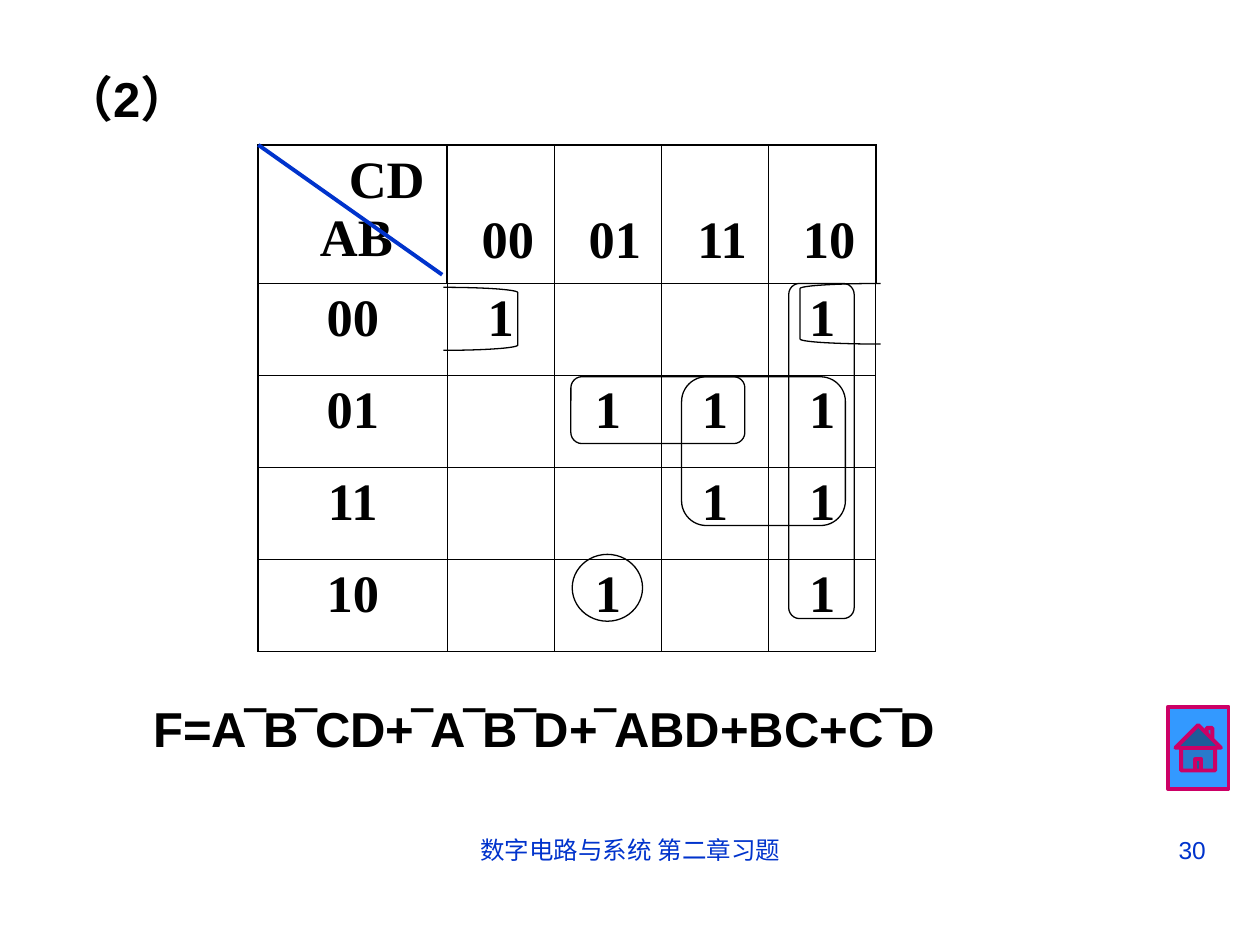
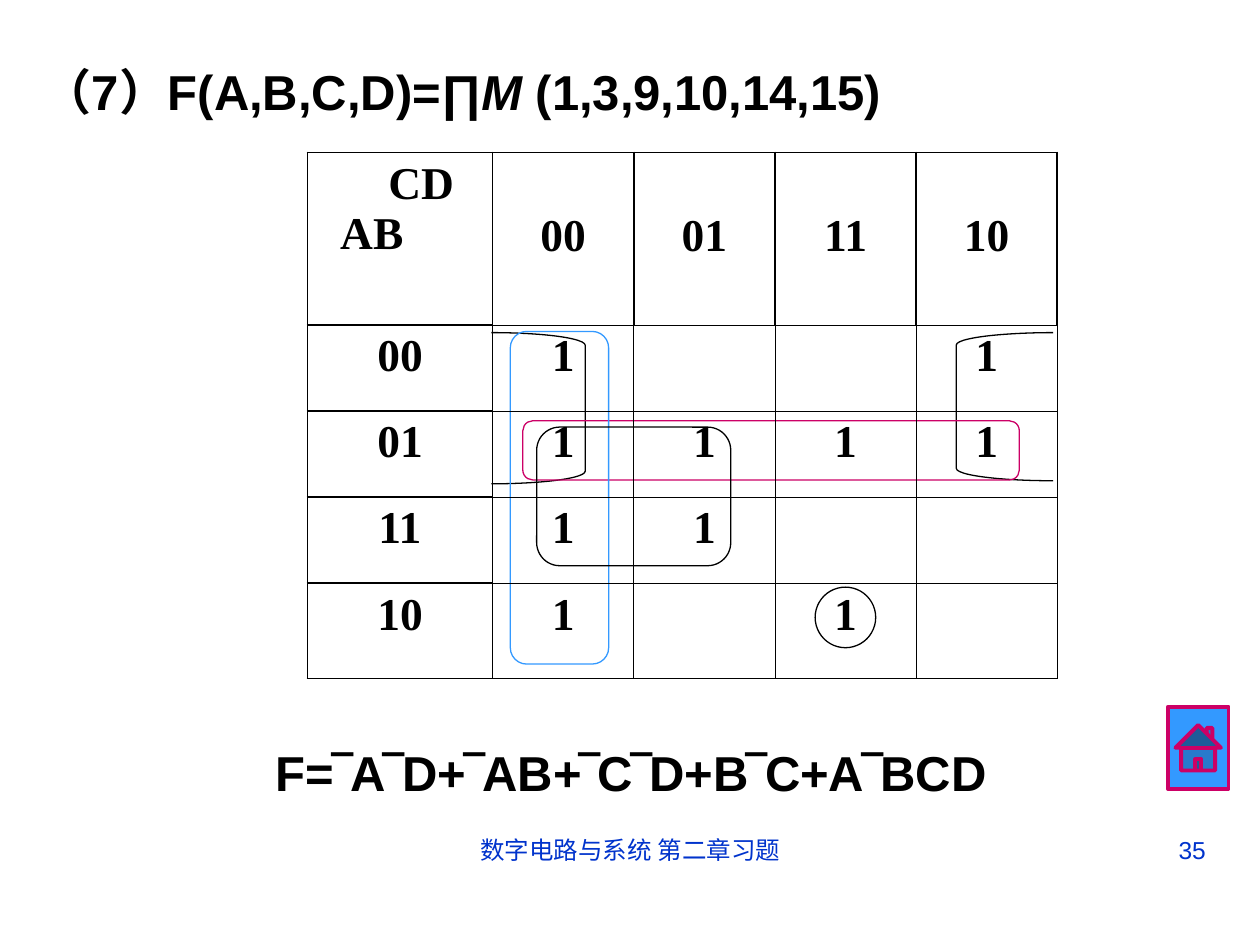
"""Two Karnaugh map exercise slides with their simplified formulas."""
from lxml import etree
from pptx import Presentation
from pptx.dml.color import RGBColor
from pptx.enum.shapes import MSO_CONNECTOR, MSO_SHAPE
from pptx.enum.text import MSO_ANCHOR, MSO_AUTO_SIZE, PP_ALIGN
from pptx.oxml.ns import qn
from pptx.util import Pt

STRAIGHT = MSO_CONNECTOR.STRAIGHT
HOME = MSO_SHAPE.ACTION_BUTTON_HOME
OVAL, ROUNDED = MSO_SHAPE.OVAL, MSO_SHAPE.ROUNDED_RECTANGLE
OPENS_LEFT, OPENS_RIGHT = MSO_SHAPE.RIGHT_BRACKET, MSO_SHAPE.LEFT_BRACKET
TOP, MIDDLE = MSO_ANCHOR.TOP, MSO_ANCHOR.MIDDLE
NO_AUTOFIT = MSO_AUTO_SIZE.NONE
LEFT, CENTER, RIGHT = PP_ALIGN.LEFT, PP_ALIGN.CENTER, PP_ALIGN.RIGHT

BLACK, NAVY, SKY, PINK = "000000", "0033CC", "3399FF", "CC0066"
SANS, SERIF = "Arial", "Times New Roman"
THICK, THIN = 1.08, 0.45
LINE_PITCH = 1.15

FOOTER = "数字电路与系统 第二章习题"
FOOTER_BOX = (246.2, 473.8, 228.2, 37.4)
NUMBER_BOX = (516.2, 473.8, 180, 37.4)
HOME_BOX = (667.4, 403.9, 34.6, 46.8)
GRAY_CODE = ["00", "01", "11", "10"]

MAPS = [
    {
        "number": "30",
        "title": [("（2）", False)],
        "title_box": (29.5, 35.3, 99.4, 41),
        "formula": "F=A‾B‾CD+‾A‾B‾D+‾ABD+BC+C‾D",
        "formula_box": (80.6, 395.3, 493.2, 41),
        "origin": (147.6, 82.8),
        "columns": [108] + [61.2] * 4,
        "rows": [79.2] + [52.56] * 4,
        "size": 30,
        "corner": [("CD", 44.5), ("AB", 28)],
        "header_shift": 8,
        "ones": ["1  1", " 111", "  11", " 1 1"],
        "loops": [
            (OVAL, (327, 316.8, 40.2, 38.2), BLACK),
            (OPENS_LEFT, (253.4, 164.2, 42.5, 36), BLACK),
            (OPENS_RIGHT, (457.2, 162, 46.1, 34.6), BLACK),
            (ROUNDED, (326.2, 215.3, 99.4, 38.2), BLACK),
            (ROUNDED, (389.5, 215.3, 93.6, 85), BLACK),
            (ROUNDED, (450.7, 162, 37.4, 191.5), BLACK),
        ],
        "diagonal": (147.6, 82.8, 252.7, 157),
    },
    {
        "number": "35",
        "title": [("（7）F(A,B,C,D)=∏", False), ("M ", True),
                  ("(1,3,9,10,14,15)", False)],
        "title_box": (17.3, 31.7, 514.8, 41),
        "formula": "F=‾A‾D+‾AB+‾C‾D+B‾C+A‾BCD",
        "formula_box": (150.5, 420.5, 460.8, 41),
        "origin": (175.7, 87.1),
        "columns": [105.8] + [80.7] * 4,
        "rows": [98.6] + [49.2] * 3 + [54.5],
        "size": 26,
        "corner": [("CD", 39), ("AB", 11.5)],
        "header_shift": 0,
        "ones": ["1  1", "1111", "11  ", "1 1 "],
        "loops": [
            (OPENS_LEFT, (280.8, 190.1, 53.6, 86.4), BLACK),
            (OPENS_RIGHT, (546.5, 190.1, 55.4, 84.6), BLACK),
            (ROUNDED, (298.8, 240.5, 283.7, 33.8), PINK),
            (ROUNDED, (291.6, 189.4, 56.2, 190.1), SKY),
            (ROUNDED, (306.7, 244.1, 110.9, 79.2), BLACK),
            (OVAL, (465.8, 335.5, 34.6, 34.6), BLACK),
        ],
        "diagonal": None,
    },
]


def rgb(color):
    return RGBColor.from_string(color)


def points(values):
    return [Pt(value) for value in values]


def add_run(paragraph, text, font_name, size, color, bold=False, italic=False):
    run = paragraph.add_run()
    run.text = text
    font = run.font
    font.name, font.size, font.bold, font.italic = font_name, Pt(size), bold, italic
    font.color.rgb = rgb(color)


def write_line(frame, runs, size, color, align=LEFT, bold=False, wrap=True, anchor=TOP):
    frame.auto_size = NO_AUTOFIT
    frame.word_wrap = wrap
    frame.vertical_anchor = anchor
    paragraph = frame.paragraphs[0]
    paragraph.alignment = align
    for text, italic in runs:
        add_run(paragraph, text, SANS, size, color, bold, italic)


def add_title(slide, runs, box):
    title = slide.shapes.title
    title.left, title.top, title.width, title.height = points(box)
    write_line(title.text_frame, runs, 28, BLACK, bold=True, wrap=False, anchor=MIDDLE)


def add_footer(slide, number):
    home = slide.shapes.add_shape(HOME, *points(HOME_BOX))
    home.shadow.inherit = False
    home.fill.solid()
    home.fill.fore_color.rgb = rgb(SKY)
    home.line.color.rgb = rgb(PINK)
    home.line.width = Pt(2.25)
    for text, box, align in ((FOOTER, FOOTER_BOX, CENTER), (number, NUMBER_BOX, RIGHT)):
        frame = slide.shapes.add_textbox(*points(box)).text_frame
        write_line(frame, [(text, False)], 14, NAVY, align)


def add_loop(slide, outline, box, color):
    loop = slide.shapes.add_shape(outline, *points(box))
    loop.shadow.inherit = False
    loop.fill.background()
    loop.line.color.rgb = rgb(color)
    loop.line.width = Pt(0.75)
    width, height = box[2:]
    if outline == ROUNDED:
        loop.adjustments[0] = 1 / 6
    elif outline != OVAL:
        loop.adjustments[0] = height / 12 / min(width, height)


def set_borders(cell, widths):
    properties = cell._tc.get_or_add_tcPr()
    for side, width in zip("LRTB", widths):
        edge = etree.SubElement(properties, qn(f"a:ln{side}"), w=str(int(Pt(width))))
        paint = etree.SubElement(edge, qn("a:solidFill"))
        etree.SubElement(paint, qn("a:srgbClr"), val=BLACK)


def border_widths(row, column):
    """Return left, right, top and bottom widths for a cell."""
    if row and column:
        return [THIN] * 4
    return [THICK,
            THIN if row else THICK,
            THICK,
            THIN if column else THICK]


def add_map(slide, kmap):
    columns, rows, size = kmap["columns"], kmap["rows"], kmap["size"]
    frame = slide.shapes.add_table(
        len(rows), len(columns),
        *points((*kmap["origin"], sum(columns), sum(rows))))
    table = frame.table
    table.first_row = table.horz_banding = False
    for column, width in zip(table.columns, columns):
        column.width = Pt(width)
    for row, height in zip(table.rows, rows):
        row.height = Pt(height)

    texts = [["", *GRAY_CODE]]
    texts += [[code, *ones] for code, ones in zip(GRAY_CODE, kmap["ones"])]
    for r, row_texts in enumerate(texts):
        for c, text in enumerate(row_texts):
            cell = table.cell(r, c)
            set_borders(cell, border_widths(r, c))
            cell.fill.background()
            if text.strip():
                paragraph = cell.text_frame.paragraphs[0]
                paragraph.alignment = CENTER
                add_run(paragraph, text, SERIF, size, BLACK, True)
            if r == 0 and c:
                cell.margin_top = Pt(3.6 + size * LINE_PITCH)
                cell.margin_left = Pt(7.2 + kmap["header_shift"])

    corner = table.cell(0, 0).text_frame
    for index, (variables, indent) in enumerate(kmap["corner"]):
        paragraph = corner.add_paragraph() if index else corner.paragraphs[0]
        paragraph._p.get_or_add_pPr().set("marL", str(int(Pt(indent))))
        add_run(paragraph, variables, SERIF, size, BLACK, True)


def add_diagonal(slide, ends):
    diagonal = slide.shapes.add_connector(STRAIGHT, *points(ends))
    diagonal.line.color.rgb = rgb(NAVY)
    diagonal.line.width = Pt(2.25)
    etree.SubElement(diagonal._element.spPr, qn("a:effectLst"))


def main():
    deck = Presentation()
    deck.slide_width, deck.slide_height = Pt(720), Pt(540)
    title_only = deck.slide_layouts[5]
    for kmap in MAPS:
        slide = deck.slides.add_slide(title_only)
        add_title(slide, kmap["title"], kmap["title_box"])
        add_footer(slide, kmap["number"])
        for outline, box, color in kmap["loops"]:
            add_loop(slide, outline, box, color)
        add_map(slide, kmap)
        if kmap["diagonal"]:
            add_diagonal(slide, kmap["diagonal"])
        formula = slide.shapes.add_textbox(*points(kmap["formula_box"])).text_frame
        write_line(formula, [(kmap["formula"], False)], 28, BLACK,
                   bold=True, wrap=False, anchor=MIDDLE)
    deck.save("out.pptx")


if __name__ == "__main__":
    main()
